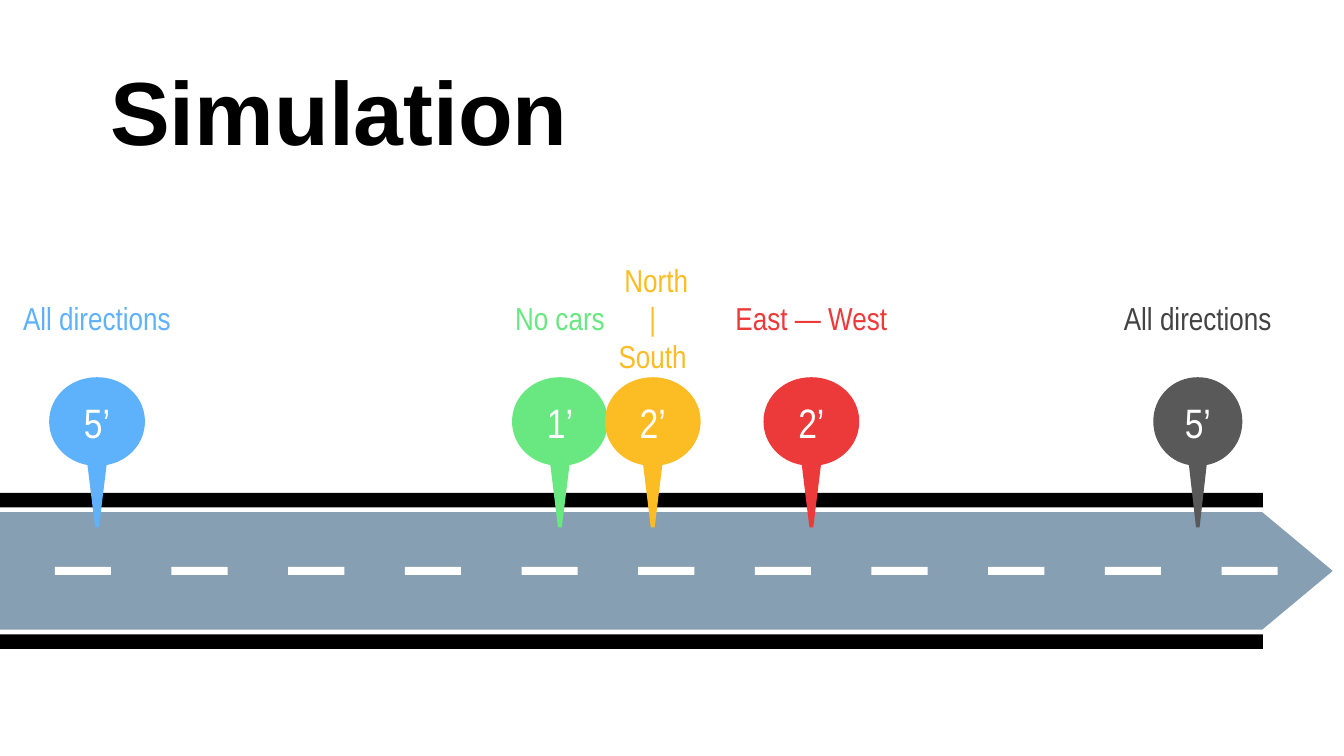
from lxml.etree import SubElement
from pptx import Presentation
from pptx.dml.color import RGBColor
from pptx.enum.shapes import MSO_SHAPE
from pptx.enum.text import MSO_ANCHOR, PP_ALIGN
from pptx.oxml.ns import qn
from pptx.util import Pt

INSET = 7.2
# (centre, width, text on the pin, label lines, pin colour, label colour)
PINS = [
    (300, 51.3, "1’", ["No cars"], "69E781", "69E781"),
    (349.7, 51.3, "2’", ["North", "|", "South"], "FCBD24", "FCBD24"),
    (434.7, 51.3, "2’", ["East — West"], "EC3A3B", "EC3A3B"),
    (52, 51.3, "5’", ["All directions"], "5EB2FC", "5EB2FC"),
    (641.7, 47.7, "5’", ["All directions"], "595959", "434343"),
]
# Left half of a pin from crown to tip, as shares of its width and height:
# two curves of three points each, then a straight stem.
HALF_PIN = [(0.5, 0), (0.22, 0), (0, 0.13), (0, 0.295),
            (0, 0.44), (0.17, 0.56), (0.4, 0.585), (0.48, 1)]
PIN_CURVES = [(0, 3), (3, 6), (9, 12), (12, 15)]


def color(value):
    return RGBColor.from_string(value)


def paint(shape, fill):
    shape.shadow.inherit = False
    shape.fill.solid()
    shape.fill.fore_color.rgb = color(fill)
    shape.line.fill.background()


def add_block(page, kind, left, top, width, height, fill):
    shape = page.shapes.add_shape(kind, Pt(left), Pt(top), Pt(width), Pt(height))
    paint(shape, fill)
    return shape


def write(shape, lines, *, size, ink, font="Arial Narrow", bold=False,
          align=PP_ALIGN.CENTER, anchor=MSO_ANCHOR.MIDDLE, top_inset=INSET,
          first_margin=0):
    frame = shape.text_frame
    frame.word_wrap = True
    frame.vertical_anchor = anchor
    frame.margin_left = frame.margin_right = frame.margin_bottom = Pt(INSET)
    frame.margin_top = Pt(top_inset)
    for index, line in enumerate(lines):
        para = frame.add_paragraph() if index else frame.paragraphs[0]
        para.alignment = align
        if first_margin and not index:
            para._p.get_or_add_pPr().set("marL", str(Pt(first_margin)))
        span = para.add_run()
        span.text = line
        span.font.name = font
        span.font.size = Pt(size)
        span.font.bold = bold
        span.font.color.rgb = color(ink)


def add_text(page, left, top, width, height, lines, **style):
    box = page.shapes.add_textbox(Pt(left), Pt(top), Pt(width), Pt(height))
    write(box, lines, **style)


def add_road(page, left, top, width, height):
    """Arrow-ended road between two kerbs, with a dashed centre line."""
    kerb, gap, point = 7.9, 2.5, 0.6
    lane_top = top + kerb + gap
    lane_height = height - 2 * (kerb + gap)
    lane = add_block(page, MSO_SHAPE.PENTAGON, left, lane_top,
                     width, lane_height, "869FB2")
    lane.adjustments[0] = point
    for kerb_top in (top, top + height - kerb):
        add_block(page, MSO_SHAPE.RECTANGLE, left, kerb_top,
                  width - point * lane_height + 0.3, kerb, "000000")
    dash_height = 4.3
    for index in range(11):
        add_block(page, MSO_SHAPE.RECTANGLE, left + 29.4 + 62.5 * index,
                  top + (height - dash_height) / 2, 30.1, dash_height, "FFFFFF")


def bend(shape, curves):
    """Turn runs of three straight segments into single Bezier curves."""
    segments = list(shape._element.iter(qn("a:lnTo")))
    for start, end in curves:
        curve = SubElement(segments[start].getparent(), qn("a:cubicBezTo"))
        segments[start].addprevious(curve)
        for segment in segments[start:end]:
            curve.append(segment[0])
            segment.getparent().remove(segment)


def add_pin(page, centre, top, width, height, text, fill):
    mirrored = [(1 - x, y) for x, y in reversed(HALF_PIN)]
    points = [(Pt(centre + (x - 0.5) * width), Pt(top + y * height))
              for x, y in HALF_PIN + mirrored]
    builder = page.shapes.build_freeform(*points[0])
    builder.add_line_segments(points[1:], close=True)
    pin = builder.convert_to_shape()
    bend(pin, PIN_CURVES)
    paint(pin, fill)
    write(pin, [text], size=22, ink="FFFFFF",
          anchor=MSO_ANCHOR.TOP, top_inset=10.8)


def add_marker(page, top, centre, width, text, label, fill, ink):
    """Pin with its label above it; a stacked label starts a little to the right."""
    label_width = 160
    add_pin(page, centre, top + 48.7, width, 80.4, text, fill)
    add_text(page, centre - label_width / 2, top, label_width, 33.8, label,
             size=17, ink=ink, first_margin=3.9 if len(label) > 1 else 0)


def main():
    deck = Presentation()
    deck.slide_width, deck.slide_height = Pt(720), Pt(405)
    page = deck.slides.add_slide(deck.slide_layouts[6])
    add_road(page, 0, 264, 714, 83.7)
    for pin in PINS:
        add_marker(page, 153.4, *pin)
    add_text(page, 52, 32.4, 616, 52.6, ["Simulation"], size=48, ink="000000",
             font="Arial", bold=True, align=PP_ALIGN.LEFT)
    deck.save("out.pptx")


if __name__ == "__main__":
    main()
